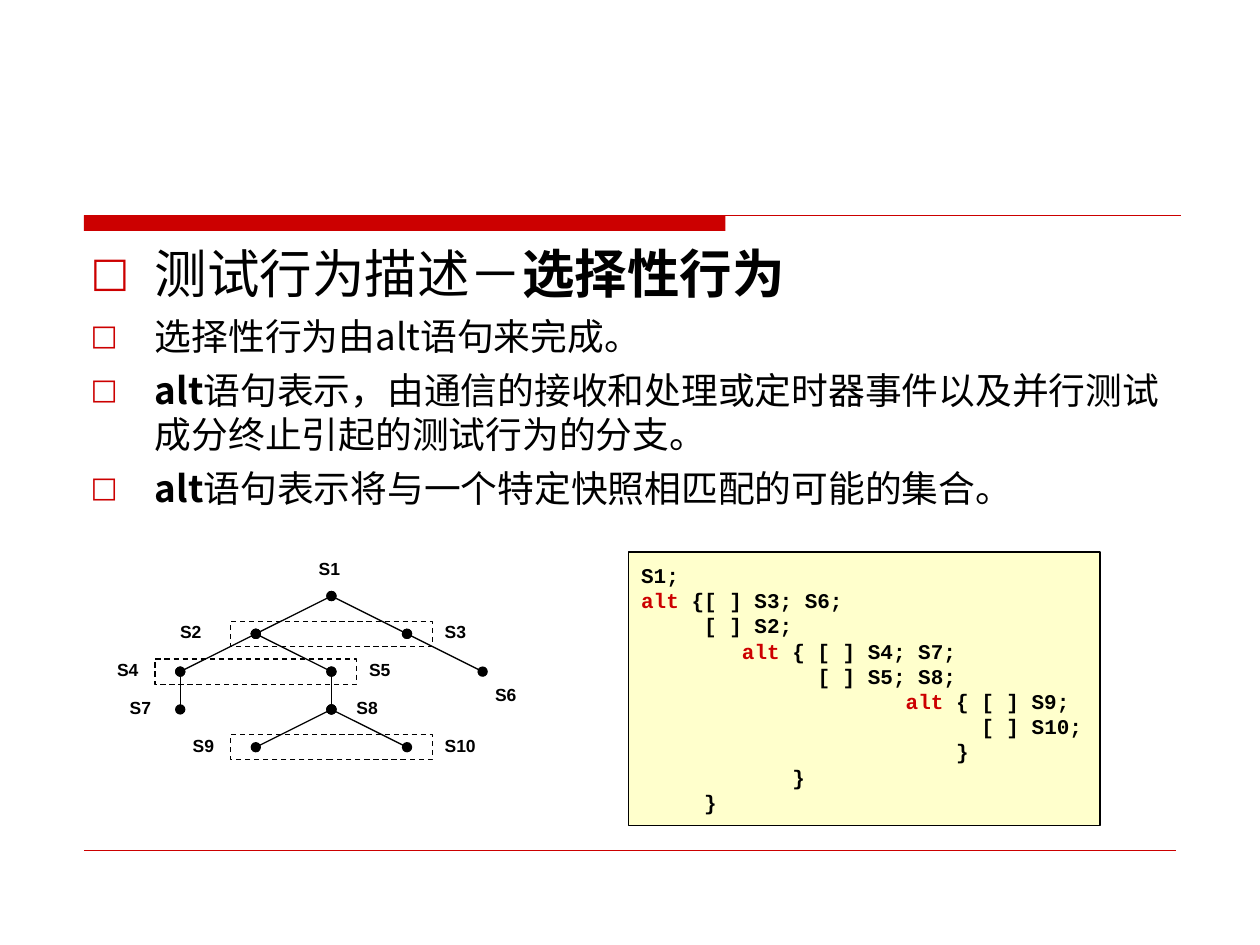
from dataclasses import dataclass

from lxml.etree import SubElement
from pptx import Presentation
from pptx.dml.color import RGBColor as Color
from pptx.enum.dml import MSO_LINE as Dash
from pptx.enum.shapes import MSO_CONNECTOR as Connector, MSO_SHAPE as Shape
from pptx.enum.text import MSO_ANCHOR as Anchor, PP_ALIGN as Align
from pptx.oxml.ns import qn
from pptx.util import Pt


@dataclass(frozen=True)
class Theme:
    red: str = "CC0000"
    black: str = "000000"
    cream: str = "FFFFCC"
    heading_font: str = "DejaVu Sans"
    body_font: str = "Noto Sans CJK SC"
    code_font: str = "Courier New"
    label_font: str = "Arial"
    heading_size: float = 30
    body_size: float = 21
    code_size: float = 12
    label_size: float = 10
    thin: float = 0.75
    hairline: float = 0.25


def write(para, text, *, font, size, color, bold=False):
    """Add one formatted span of text to a paragraph."""
    span = para.add_run()
    span.text = text
    span.font.name = font
    span.font.size = Pt(size)
    span.font.bold = bold
    span.font.color.rgb = Color.from_string(color)
    SubElement(span.font._element, qn("a:ea"), typeface=font)


def next_para(frame, index):
    return frame.paragraphs[0] if index == 0 else frame.add_paragraph()


class Painter:
    def __init__(self, page, theme):
        self.page = page
        self.theme = theme

    def line(self, start, end, color, width, dots=False):
        points = [Pt(value) for value in (*start, *end)]
        line = self.page.shapes.add_connector(Connector.STRAIGHT, *points)
        line.line.color.rgb = Color.from_string(color)
        line.line.width = Pt(width)
        if dots:
            outline = line.line._get_or_add_ln()
            for end_tag in ("a:headEnd", "a:tailEnd"):
                SubElement(outline, qn(end_tag), type="oval")
        SubElement(line._element.spPr, qn("a:effectLst"))

    def box(self, left, top, width, height, fill=None, line=None, dash=None):
        box = self.page.shapes.add_shape(
            Shape.RECTANGLE, Pt(left), Pt(top), Pt(width), Pt(height))
        box.shadow.inherit = False
        if fill:
            box.fill.solid()
            box.fill.fore_color.rgb = Color.from_string(fill)
        else:
            box.fill.background()
        if line:
            box.line.color.rgb = Color.from_string(line)
            box.line.width = Pt(self.theme.thin)
            if dash:
                box.line.dash_style = dash
        else:
            box.line.fill.background()
        return box

    def label(self, text, left, top):
        box = self.page.shapes.add_textbox(Pt(left), Pt(top), Pt(40), Pt(24))
        box.text_frame.word_wrap = False
        write(box.text_frame.paragraphs[0], text, font=self.theme.label_font,
              size=self.theme.label_size, color=self.theme.black, bold=True)

    def bullets(self, place, items):
        body = self.page.placeholders[1]
        body.left, body.top, body.width, body.height = map(Pt, place)
        for index, (font, size, spacing, spans) in enumerate(items):
            para = next_para(body.text_frame, index)
            para.space_before = Pt(size / 4)
            para.line_spacing = Pt(spacing)
            props = para._p.get_or_add_pPr()
            props.set("marL", str(Pt(36.7)))
            props.set("indent", str(Pt(-36.7)))
            bullet_color = SubElement(props, qn("a:buClr"))
            SubElement(bullet_color, qn("a:srgbClr"), val=self.theme.red)
            SubElement(props, qn("a:buSzPct"), val="78000")
            SubElement(props, qn("a:buFont"), typeface=self.theme.heading_font)
            SubElement(props, qn("a:buChar"), char="□")
            for text, bold in spans:
                write(para, text, font=font, size=size,
                      color=self.theme.black, bold=bold)

    def code(self, place, lines):
        theme = self.theme
        box = self.box(*place, fill=theme.cream, line=theme.black)
        frame = box.text_frame
        frame.word_wrap = True
        frame.vertical_anchor = Anchor.MIDDLE
        style = dict(font=theme.code_font, size=theme.code_size, bold=True)
        for index, (column, keyword, rest) in enumerate(lines):
            para = next_para(frame, index)
            para.alignment = Align.LEFT
            para.line_spacing = Pt(14.4)
            props = para._p.get_or_add_pPr()
            # One character of the code font is 0.6 of its size wide
            props.set("marL", str(Pt(column * theme.code_size * 0.6)))
            props.set("indent", "0")
            if keyword:
                write(para, keyword, color=theme.red, **style)
            write(para, rest, color=theme.black, **style)


# Tree nodes: column, row, and label offset from the node
NODES = {
    "S1": (0, 0, -14.4, -25.2),
    "S2": (-1, 1, -50.4, -10.8),
    "S3": (1, 1, 14.4, -10.8),
    "S4": (-2, 2, -43.2, -10.8),
    "S5": (0, 2, 14.4, -10.8),
    "S6": (2, 2, 0, 3.6),
    "S7": (-2, 3, -36, -10.8),
    "S8": (0, 3, 7.2, -10.8),
    "S9": (-1, 4, -43.2, -10.8),
    "S10": (1, 4, 14.4, -10.8),
}
EDGES = [("S1", "S2"), ("S1", "S3"), ("S2", "S4"), ("S2", "S5"), ("S3", "S6"),
         ("S8", "S10"), ("S5", "S8"), ("S4", "S7"), ("S8", "S9")]
ALTERNATIVES = ["S2", "S4", "S9"]  # left node of each dashed pair

# Code lines: starting column, keyword, rest
CODE = [
    (0, "", "S1;"),
    (0, "alt", " {[ ] S3; S6;"),
    (5, "", "[ ] S2;"),
    (8, "alt", " { [ ] S4; S7;"),
    (14, "", "[ ] S5; S8;"),
    (21, "alt", " { [ ] S9;"),
    (27, "", "[ ] S10;"),
    (25, "", "}"),
    (12, "", "}"),
    (5, "", "}"),
]


def draw_tree(painter):
    theme = painter.theme
    spots = {name: (189.4 + 43.2 * column, 340.6 + 21.6 * row)
             for name, (column, row, _, _) in NODES.items()}
    for parent, child in EDGES:
        painter.line(spots[parent], spots[child], theme.black, theme.thin, dots=True)
    for name in ALTERNATIVES:
        x, y = spots[name]
        painter.box(x - 14.4, y - 7.2, 115.2, 14.4, line=theme.black, dash=Dash.DASH)
    for name, (_, _, shift_x, shift_y) in NODES.items():
        x, y = spots[name]
        painter.label(name, x + shift_x, y + shift_y)


def main():
    theme = Theme()
    deck = Presentation()
    deck.slide_width, deck.slide_height = Pt(720), Pt(540)
    page = deck.slides.add_slide(deck.slide_layouts[1])
    title = page.shapes.title._element
    title.getparent().remove(title)
    painter = Painter(page, theme)

    # Header bar and rules
    painter.box(48, 123.1, 366.5, 8.9, fill=theme.red)
    painter.line((48, 123.1), (674.8, 123.1), theme.red, theme.thin)
    painter.line((48, 486), (672, 486), theme.red, theme.hairline)

    # Bulleted text
    heading = (theme.heading_font, theme.heading_size, 32)
    body = (theme.body_font, theme.body_size, 25.4)
    painter.bullets((44.6, 138.2, 630, 336.2), [
        (*heading, [("测试行为描述－", False), ("选择性行为", True)]),
        (*body, [("选择性行为由alt语句来完成。", False)]),
        (*body, [("alt", True), ("语句表示，由通信的接收和处理或定时器事件以及"
                                 "并行测试成分终止引起的测试行为的分支。", False)]),
        (*body, [("alt", True), ("语句表示将与一个特定快照相匹配的可能的集合。", False)]),
    ])

    # Code and its behaviour tree
    painter.code((359.3, 315.4, 269.3, 156.2), CODE)
    draw_tree(painter)
    deck.save("out.pptx")


if __name__ == "__main__":
    main()
